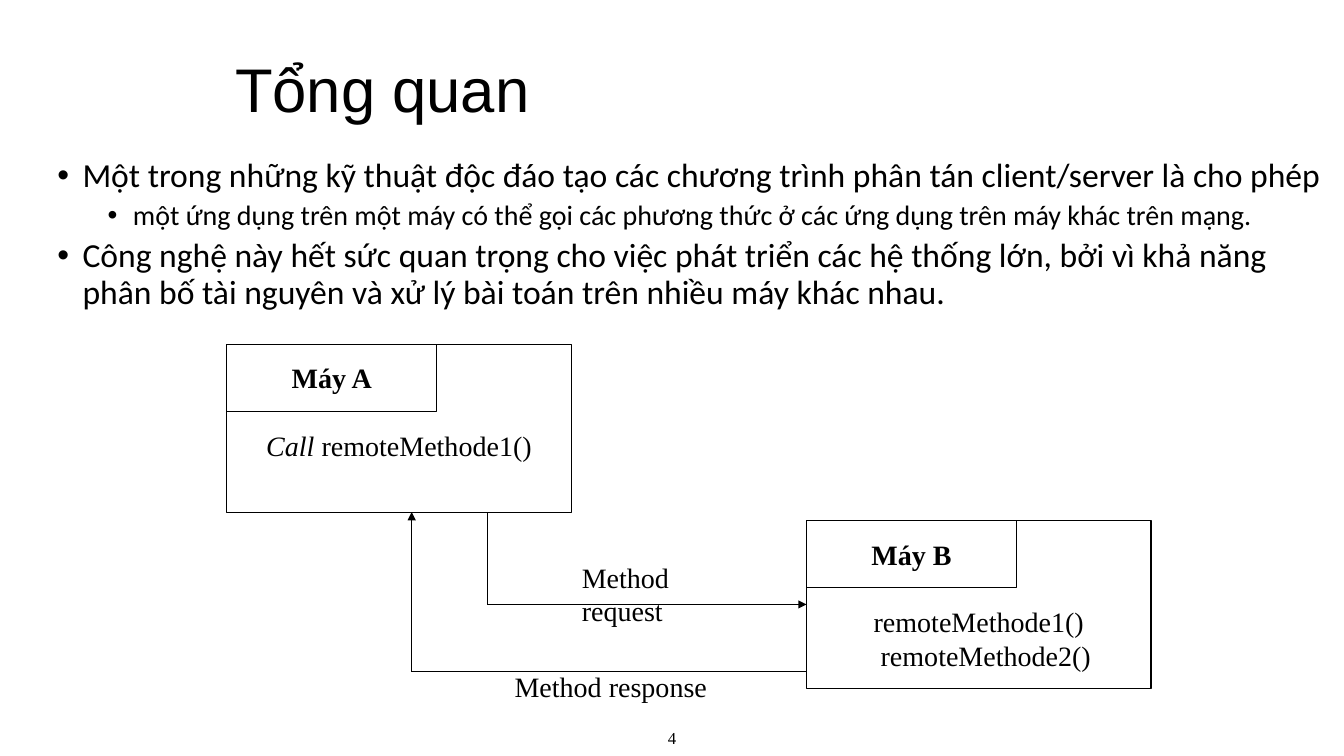
import pptx
import pptx.util
import pptx.dml.color
import pptx.enum.shapes
import pptx.enum.text
import pptx.oxml.ns
from lxml import etree

COLORS = {"ink": "000000"}
ALIGN = pptx.enum.text.PP_ALIGN
ANCHOR = pptx.enum.text.MSO_ANCHOR


class OverviewSlide:
    """Style and slide; lengths are columns and rows of 1/12 inch."""

    CELL = 1 / 12
    TOP = 0.08
    DIAGRAM_FONT = "Times New Roman"

    def __init__(self, deck):
        self.slide = deck.slides.add_slide(deck.slide_layouts[6])
        self.ink = pptx.dml.color.RGBColor.from_string(COLORS["ink"])

    def size(self, cells):
        return pptx.util.Inches(cells * self.CELL)

    def place(self, col, row):
        return self.size(col), self.size(row) + pptx.util.Inches(self.TOP)

    def style(self, paragraph, size, font=DIAGRAM_FONT, bold=False, align=ALIGN.LEFT):
        paragraph.alignment = align
        paragraph.font.size = pptx.util.Pt(size)
        paragraph.font.name = font
        paragraph.font.bold = bold
        paragraph.font.color.rgb = self.ink

    def text(self, col, row, cols, rows, words, size, inset=None, anchor=ANCHOR.TOP,
             spacing=None, **style):
        box = self.slide.shapes.add_textbox(
            *self.place(col, row), self.size(cols), self.size(rows))
        frame = box.text_frame
        frame.word_wrap = True
        frame.vertical_anchor = anchor
        if inset:
            frame.margin_left = frame.margin_right = pptx.util.Inches(inset[0])
            frame.margin_top = frame.margin_bottom = pptx.util.Inches(inset[1])
        frame.text = words
        self.style(frame.paragraphs[0], size, **style)
        frame.paragraphs[0].line_spacing = spacing

    def bullets(self, col, row, cols, rows, items):
        frame = self.slide.shapes.add_textbox(
            *self.place(col, row), self.size(cols), self.size(rows)).text_frame
        frame.word_wrap = True
        for number, (level, words) in enumerate(items):
            item = frame.add_paragraph() if number else frame.paragraphs[0]
            item.text = words
            item.level = level
            item.line_spacing = 0.9
            item.space_before = pptx.util.Pt(5)
            self.style(item, 24 - 4 * level, "Calibri")
            properties = item._p.get_or_add_pPr()
            properties.set("marL", str(pptx.util.Inches(0.75 + 0.5 * level)))
            properties.set("indent", str(pptx.util.Inches(-0.25)))
            etree.SubElement(properties, pptx.oxml.ns.qn("a:buFont")).set("typeface", "Arial")
            etree.SubElement(properties, pptx.oxml.ns.qn("a:buChar")).set("char", "•")

    def box(self, col, row, cols, rows, lines, top_inset=0.05, bold=False):
        """Outlined rectangle; each line is a list of (words, italic)."""
        rectangle = self.slide.shapes.add_shape(
            pptx.enum.shapes.MSO_SHAPE.RECTANGLE,
            *self.place(col, row), self.size(cols), self.size(rows))
        rectangle.shadow.inherit = False
        rectangle.fill.background()
        rectangle.line.color.rgb = self.ink
        rectangle.line.width = pptx.util.Pt(0.75)
        frame = rectangle.text_frame
        frame.word_wrap = False
        frame.vertical_anchor = ANCHOR.MIDDLE
        frame.margin_top = pptx.util.Inches(top_inset)
        for number, parts in enumerate(lines):
            line = frame.add_paragraph() if number else frame.paragraphs[0]
            self.style(line, 20, bold=bold, align=ALIGN.CENTER)
            for words, italic in parts:
                run = line.add_run()
                run.text = words
                if italic:
                    run.font.italic = True
        return rectangle

    def machine(self, col, row, name, lines, top_inset):
        body = self.box(col, row, 41, 20, lines, top_inset)
        self.box(col, row, 25, 8, [[(name, False)]], bold=True)
        return body

    def line(self, start, end, arrow=None, target=None):
        """arrow is headEnd or tailEnd; target is (shape, side)."""
        connector = self.slide.shapes.add_connector(
            pptx.enum.shapes.MSO_CONNECTOR.STRAIGHT, *self.place(*start), *self.place(*end))
        if target:
            connector.end_connect(*target)
        connector.line.color.rgb = self.ink
        connector.line.width = pptx.util.Pt(0.75)
        if arrow:
            tip = etree.SubElement(
                connector.line._get_or_add_ln(), pptx.oxml.ns.qn("a:" + arrow))
            tip.set("type", "triangle")
        etree.SubElement(connector._element.spPr, pptx.oxml.ns.qn("a:effectLst"))


def main():
    deck = pptx.Presentation()
    deck.slide_width = pptx.util.Inches(13.33)
    deck.slide_height = pptx.util.Inches(7.5)
    page = OverviewSlide(deck)

    # Heading, points and page number
    page.text(53, 84.7, 54, 4.3, "4", 12, anchor=ANCHOR.MIDDLE, align=ALIGN.CENTER)
    page.text(26.8, 3.84, 122.2, 12.5, "Tổng quan", 44, anchor=ANCHOR.MIDDLE,
              spacing=0.9, font="Arial")
    page.bullets(-0.36, 17.3, 160, 63.8, [
        (0, "Một trong những kỹ thuật độc đáo tạo các chương trình phân tán "
            "client/server là cho phép"),
        (1, "một ứng dụng trên một máy có thể gọi các phương thức ở các ứng dụng "
            "trên máy khác trên mạng."),
        (0, "Công nghệ này hết sức quan trọng cho việc phát triển các hệ thống lớn, "
            "bởi vì khả năng phân bố tài nguyên và xử lý bài toán trên nhiều máy khác nhau."),
    ])

    # The two machines
    page.machine(27, 40, "Máy A", [[("Call", True), (" remoteMethode1()", False)]], 0.39)
    server = page.machine(
        96, 61, "Máy B",
        [[("remoteMethode1()", False)], [("remoteMethode2()", False)]], 0.72)
    second_method = server.text_frame.paragraphs[1]
    second_method._p.get_or_add_pPr().set("marL", str(pptx.util.Pt(10)))

    # Request path from A to B
    page.line((58, 60), (58, 71))
    page.line((58, 71), (96, 71), "tailEnd", (server, 1))
    page.text(69, 65.6, 21, 4.3, "Method request", 20, inset=(0.02, 0.01))

    # Response path from B to A
    page.line((49, 60), (49, 79), "headEnd")
    page.line((49, 79), (96, 79))
    page.text(61, 78.6, 28, 4.3, "Method response", 20, inset=(0.02, 0.01))

    deck.save("out.pptx")


if __name__ == "__main__":
    main()
